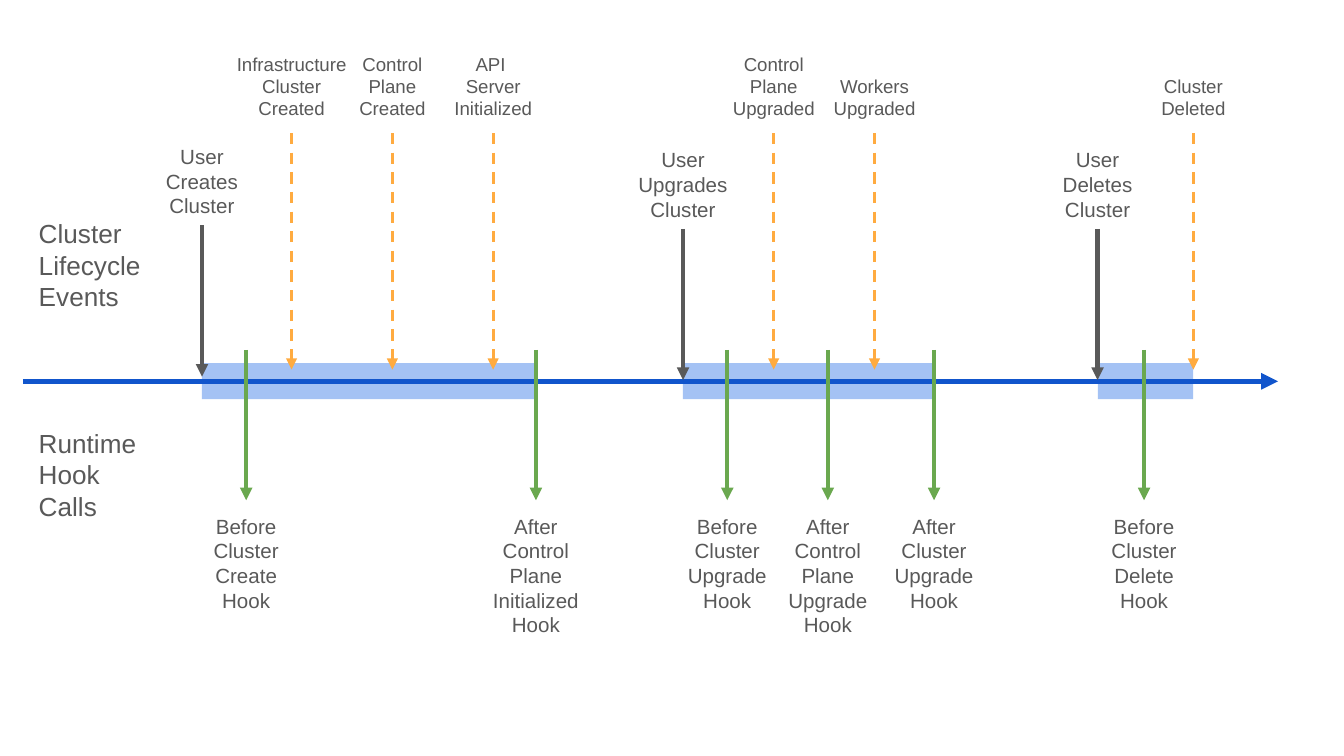
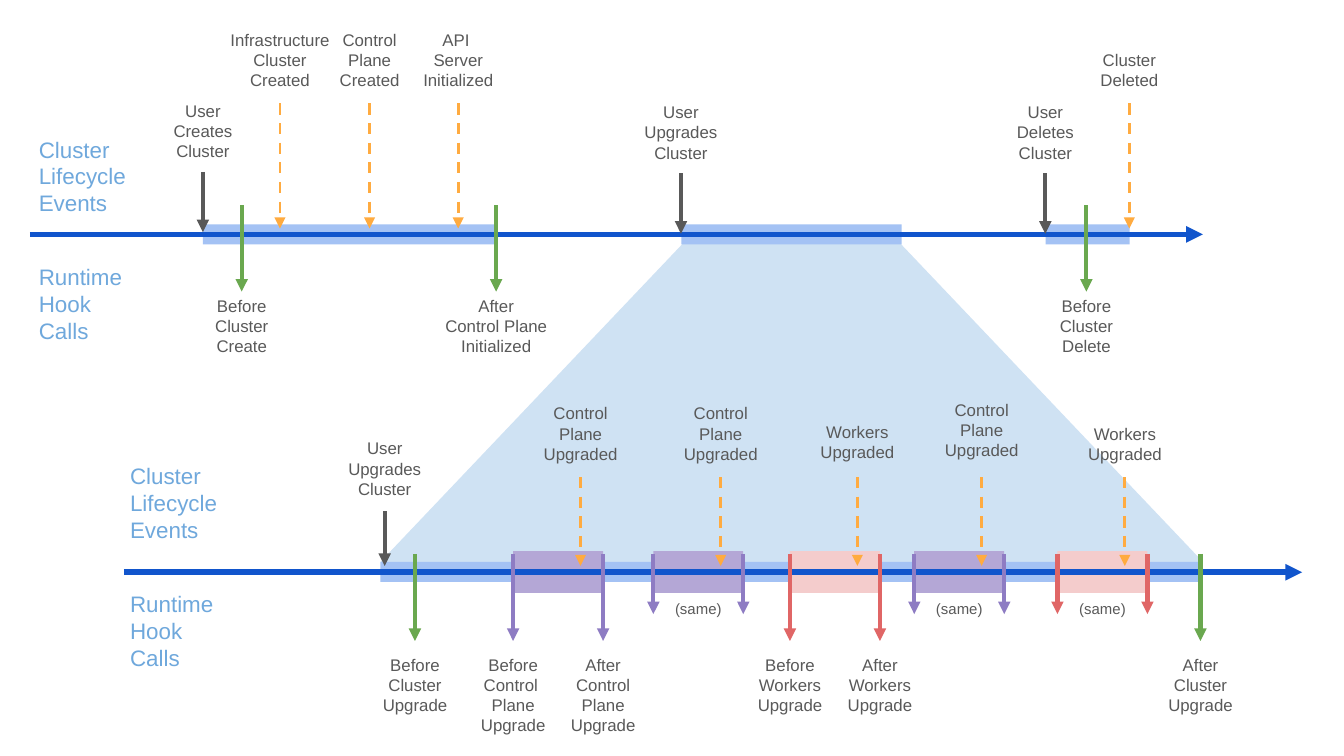
from dataclasses import dataclass
from typing import Any, NamedTuple

from lxml.etree import SubElement
from pptx import Presentation
from pptx.dml.color import RGBColor as RGB
from pptx.enum.dml import MSO_LINE as Dash
from pptx.enum.shapes import MSO_CONNECTOR as Link, MSO_SHAPE as Form
from pptx.enum.text import MSO_ANCHOR as Anchor, MSO_AUTO_SIZE as Fit, PP_ALIGN as Align
from pptx.oxml.ns import qn
from pptx.util import Pt


# Theme: colours and type sizes
@dataclass(frozen=True)
class Theme:
    font: str = "Arial"
    text: str = "595959"
    head: str = "6FA8DC"
    axis: str = "1155CC"
    band: str = "A4C2F4"
    zoom: str = "CFE2F3"
    event: str = "FFAB40"
    hook: str = "6AA84F"
    plane: str = "8E7CC3"
    plane_fill: str = "B4A7D6"
    work: str = "E06666"
    work_fill: str = "F4CCCC"
    head_big: float = 14
    head_small: float = 12
    hook_big: float = 11
    event_big: float = 10
    small: float = 9
    tiny: float = 8


T = Theme()
INSET = {f"margin_{side}": Pt(7.2) for side in ("left", "right", "top", "bottom")}


class Box(NamedTuple):
    x: float
    y: float
    w: float
    h: float


class Kind(NamedTuple):
    """Look of an arrow; above tells on which end its label sits."""
    tint: str
    width: float
    above: bool
    dash: Any = None


USER = Kind(T.text, 2.25, True)
EVENT = Kind(T.event, 1.5, True, Dash.DASH)
HOOK = Kind(T.hook, 2.25, False)
PLANE = Kind(T.plane, 2.25, False)
WORK = Kind(T.work, 2.25, False)


class Mark(NamedTuple):
    """An arrow at x; shift moves it all, drop moves the label alone."""
    x: float
    text: str = ""
    shift: float = 0
    drop: float = 0
    wide: float = 0


@dataclass(frozen=True)
class Row:
    """Arrows that share look, ends and label size."""
    kind: Kind
    top: float
    tip: float
    size: float
    wide: float
    tall: float
    marks: list[Mark]
    drop: float = 0


@dataclass(frozen=True)
class Track:
    """A time axis with its bands and two headings."""
    start: float
    end: float
    y: float
    band_y: float
    band_h: float
    bands: list[tuple[float, float]]
    head_x: float
    head_ys: tuple[float, float]
    head_w: float
    head_h: float
    size: float
    tint: str


class Stage(NamedTuple):
    """One upgrade step; without hook names it repeats an earlier one."""
    x: float
    kind: Kind
    fill: str
    event: str
    drop: float = 0
    before: str = ""
    after: str = ""


# Drawing helpers
def put(target: Any, values: dict[str, Any]) -> None:
    for name, value in values.items():
        setattr(target, name, value)


def block(page: Any, form: Any, box: Box, tint: str) -> Any:
    shape = page.shapes.add_shape(form, *map(Pt, box))
    shape.shadow.inherit = False
    shape.fill.solid()
    shape.fill.fore_color.rgb = RGB.from_string(tint)
    shape.line.fill.background()
    return shape


def arrow(page: Any, start: tuple, end: tuple, tint: str, width: float, dash: Any = None) -> None:
    link = page.shapes.add_connector(Link.STRAIGHT, *map(Pt, start + end))
    put(link.line, {"width": Pt(width), "dash_style": dash})
    link.line.color.rgb = RGB.from_string(tint)
    props = link._element.spPr
    SubElement(props.find(qn("a:ln")), qn("a:tailEnd"), type="triangle")
    SubElement(props, qn("a:effectLst"))


def label(page: Any, box: Box, text: str, size: float, tint: str = T.text,
          align: Any = Align.CENTER, anchor: Any = Anchor.TOP, fit: Any = Fit.NONE) -> None:
    frame = page.shapes.add_textbox(*map(Pt, box)).text_frame
    put(frame, INSET | {"word_wrap": True, "auto_size": fit,
                        "vertical_anchor": anchor, "text": text})
    for para in frame.paragraphs:
        para.alignment = align
        for run in para.runs:
            put(run.font, {"name": T.font, "size": Pt(size)})
            run.font.color.rgb = RGB.from_string(tint)


def draw_row(page: Any, row: Row) -> None:
    kind = row.kind
    for mark in row.marks:
        top, tip = row.top + mark.shift, row.tip + mark.shift
        arrow(page, (mark.x, top), (mark.x, tip), kind.tint, kind.width, kind.dash)
        if mark.text:
            wide = mark.wide or row.wide
            y = (top - row.tall if kind.above else tip) + row.drop + mark.drop
            label(page, Box(mark.x - wide / 2, y, wide, row.tall), mark.text, row.size,
                  anchor=Anchor.BOTTOM if kind.above else Anchor.TOP)


def draw_bands(page: Any, track: Track) -> None:
    for x, wide in track.bands:
        block(page, Form.RECTANGLE, Box(x, track.band_y, wide, track.band_h), T.band)


def draw_axis(page: Any, track: Track) -> None:
    arrow(page, (track.start, track.y), (track.end, track.y), T.axis, 3)
    heads = ("Cluster\nLifecycle\nEvents", "Runtime\nHook\nCalls")
    for y, text in zip(track.head_ys, heads):
        label(page, Box(track.head_x, y, track.head_w, track.head_h), text, track.size,
              track.tint, Align.LEFT, fit=Fit.SHAPE_TO_FIT_TEXT)


def draw_track(page: Any, track: Track, rows: list[Row]) -> None:
    draw_bands(page, track)
    draw_axis(page, track)
    for row in rows:
        draw_row(page, row)


# Labels used on both slides; \v breaks a line inside a paragraph
CREATE, UPGRADE, DELETE = (f"User\v{verb}\vCluster" for verb in ("Creates", "Upgrades", "Deletes"))
INFRA = "Infrastructure\vCluster\nCreated"
PLANE_NEW, PLANE_UP = (f"Control\vPlane\n{state}" for state in ("Created", "Upgraded"))
SERVER = "API \vServer\vInitialized"
WORK_UP = "Workers\nUpgraded"
GONE = "Cluster\vDeleted"

# Slide 1: whole lifecycle
LIFE = Track(12.2, 684.7, 204.3, 194.5, 19.4, [(588.2, 51), (365.8, 134.6), (108.2, 178.9)],
             13.7, (109.4, 221.8), 81.4, 65.5, T.head_big, T.text)
LIFE_ROWS = [
    Row(USER, 122.6, 203.6, T.hook_big, 70, 65.5, [
        Mark(108.2, CREATE, shift=-1.8), Mark(365.9, UPGRADE), Mark(588, DELETE)], drop=3.2),
    Row(EVENT, 71.3, 198, T.event_big, 81.4, 65.5, [
        Mark(156.2, INFRA), Mark(210.2, PLANE_NEW), Mark(264.2, SERVER),
        Mark(414.5, PLANE_UP), Mark(468.5, WORK_UP), Mark(639.3, GONE)]),
    Row(HOOK, 187.4, 268, T.hook_big, 70, 65.5, [
        Mark(131.9, "Before\vCluster\vCreate\vHook"),
        Mark(287.1, "After\vControl\vPlane\vInitialized\vHook"),
        Mark(389.6, "Before\vCluster\vUpgrade\vHook"),
        Mark(443.5, "After\vControl\vPlane\vUpgrade\vHook"),
        Mark(500.4, "After\vCluster\vUpgrade\vHook"),
        Mark(612.9, "Before\vCluster\vDelete\vHook")]),
]

# Slide 2: short lifecycle on top
BRIEF = Track(16, 644.4, 125.6, 120.2, 10.8, [(560.2, 45), (365, 118), (108.7, 157)],
              13.7, (65.5, 133.9), 71.3, 58.3, T.head_small, T.head)
BRIEF_ROWS = [
    Row(USER, 92.9, 125.2, T.small, 61.2, 26.6, [
        Mark(108.7, CREATE, shift=-0.8), Mark(364.8, UPGRADE, wide=62.6), Mark(560, DELETE)],
        drop=1.4),
    Row(EVENT, 55.4, 122.4, T.small, 71.3, 34.6, [
        Mark(150, INFRA, wide=76.3), Mark(198, PLANE_NEW),
        Mark(245.5, SERVER), Mark(605, GONE)]),
    Row(HOOK, 110, 156.2, T.small, 61.2, 37.4, [
        Mark(129.5, "Before\vCluster\vCreate"),
        Mark(265.8, "After\vControl Plane\vInitialized", wide=82.8),
        Mark(582, "Before\vCluster\vDelete")], drop=-5),
]

# Slide 2: upgrade in detail below
DETAIL = Track(66.4, 697.6, 306.6, 301, 10.8, [(203.8, 440.6)],
               62.6, (240.5, 308.9), 71.3, 58.3, T.head_small, T.head)
DETAIL_ROWS = [
    Row(USER, 273.8, 303.2, T.small, 61.2, 23.8, [Mark(206.1, UPGRADE)], drop=0.6),
    Row(HOOK, 296.8, 343.4, T.small, 61.2, 37.4, [
        Mark(222.3, "Before\vCluster\vUpgrade"), Mark(643.1, "After\vCluster\vUpgrade")]),
]
STAGES = [
    Stage(274.9, PLANE, T.plane_fill, PLANE_UP, 0,
          "Before\vControl \nPlane\vUpgrade", "After\vControl\vPlane\vUpgrade"),
    Stage(350, PLANE, T.plane_fill, PLANE_UP),
    Stage(423.2, WORK, T.work_fill, WORK_UP, -0.7,
          "Before\vWorkers\vUpgrade", "After\vWorkers\vUpgrade"),
    Stage(489.8, PLANE, T.plane_fill, PLANE_UP, -2),
    Stage(566.5, WORK, T.work_fill, WORK_UP),
]
STAGE_W, STAGE_Y, STAGE_H = 48.2, 295.3, 22.4


def draw_stage(page: Any, stage: Stage) -> None:
    tip = 343.4 if stage.before else 329
    draw_row(page, Row(stage.kind, 296.8, tip, T.small, 61.2, 37.4, [
        Mark(stage.x, stage.before, wide=85.7), Mark(stage.x + STAGE_W, stage.after)]))
    draw_row(page, Row(EVENT, 255.6, 303.2, T.small, 71.3, 24.5,
                       [Mark(stage.x + 36.1, stage.event, drop=stage.drop)]))
    if not stage.before:
        mid = stage.x + STAGE_W / 2
        label(page, Box(mid - 30.6, 313.9, 61.2, STAGE_H), "(same)", T.tiny)


def draw_zoom(page: Any) -> None:
    zoom = block(page, Form.TRAPEZOID, Box(203.8, 126.7, 440.6, 174.3), T.zoom)
    zoom.adjustments[0] = 0.95
    draw_bands(page, DETAIL)
    draw_track(page, BRIEF, BRIEF_ROWS)
    for stage in STAGES:
        block(page, Form.RECTANGLE, Box(stage.x, STAGE_Y, STAGE_W, STAGE_H), stage.fill)
    draw_axis(page, DETAIL)
    for row in DETAIL_ROWS:
        draw_row(page, row)
    for stage in STAGES:
        draw_stage(page, stage)


def main() -> None:
    deck = Presentation()
    put(deck, {"slide_width": Pt(720), "slide_height": Pt(405)})
    blank = deck.slide_layouts[6]
    draw_track(deck.slides.add_slide(blank), LIFE, LIFE_ROWS)
    draw_zoom(deck.slides.add_slide(blank))
    deck.save("out.pptx")


if __name__ == "__main__":
    main()
